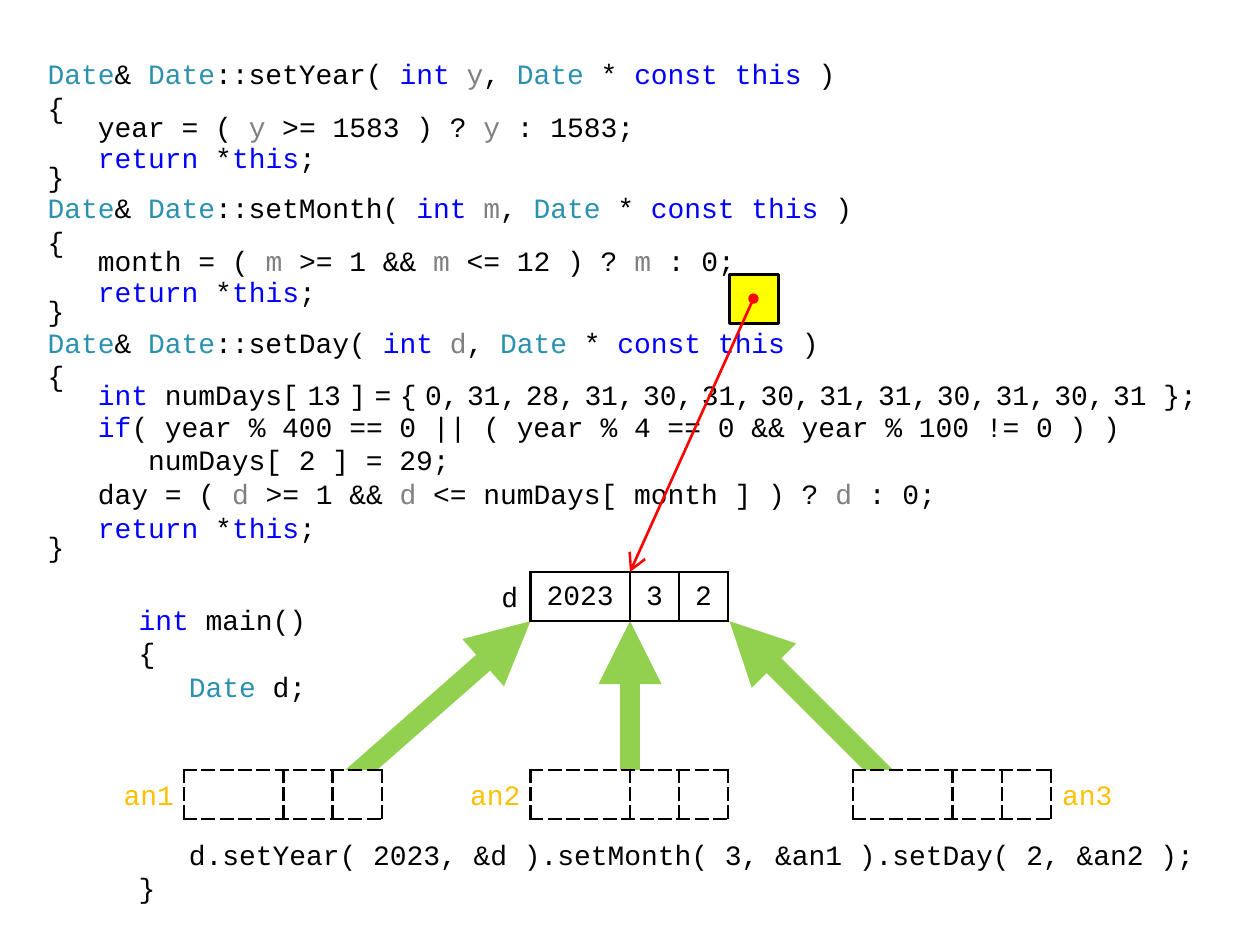
from lxml import etree
from pptx import Presentation
from pptx.dml.color import RGBColor
from pptx.enum.shapes import MSO_CONNECTOR, MSO_SHAPE
from pptx.enum.text import MSO_ANCHOR, PP_ALIGN
from pptx.oxml import parse_xml
from pptx.oxml.ns import nsdecls, qn
from pptx.util import Inches, Pt

LEFT, CENTER, RIGHT = PP_ALIGN.LEFT, PP_ALIGN.CENTER, PP_ALIGN.RIGHT
TOP, MIDDLE = MSO_ANCHOR.TOP, MSO_ANCHOR.MIDDLE
RECT, STRAIGHT = MSO_SHAPE.RECTANGLE, MSO_CONNECTOR.STRAIGHT
FONT, SIZE, NARROW = "Courier New", 16, 8
FULL, HALF = 1.0, 0.5
BLACK, WHITE, YELLOW, RED = "000000", "FFFFFF", "FFFF00", "FF0000"
GREEN, ORANGE = "92D050", "FFC000"
SYNTAX = {"t": "2B91AF", "k": "0000FF", "v": "808080", "s": BLACK}

CELL = 0.39
COLS = [0.79, CELL, CELL]
OBJECT_X, OBJECT_Y, TEMP_Y = 4.21, 4.54, 6.11

DAYS = "0, 31, 28, 31, 30, 31, 30, 31, 31, 30, 31, 30,".split()
NUM_DAYS = "`s `".join(["   `kint `numDays[", "13", "]", "=", "{", *DAYS, "31 };"])
RETURN = ("   `kreturn` *`kthis`;", FULL)
CLOSE = ("}", HALF)


def setter(name, arg, body):
    """Return the (code, line spacing) pairs of one member function."""
    head = f"`tDate`& `tDate`::{name}( `kint ``v{arg}`, `tDate` * `kconst this` )"
    return [(head, FULL), ("{", FULL), *body, RETURN, CLOSE]


SETTERS = [
    *setter("setYear", "y", [("   year = ( `vy` >= 1583 ) ? `vy` : 1583;", HALF)]),
    *setter("setMonth", "m", [
        ("   month = ( `vm` >= 1 && `vm` <= 12 ) ? `vm` : 0;", HALF)]),
    *setter("setDay", "d", [
        (NUM_DAYS, HALF),
        ("   `kif`( year % 400 == 0 || ( year % 4 == 0 && year % 100 != 0 ) )", FULL),
        ("      numDays[ 2 ] = 29;", FULL),
        ("   day = ( `vd` >= 1 && `vd` <= numDays[ month ] ) ? `vd` : 0;", FULL),
    ]),
]
MAIN = [(code, FULL) for code in (
    "`kint` main()", "{", "   `tDate` d;", "", "", "", "",
    "   d.setYear( 2023, &d ).setMonth( 3, &an1 ).setDay( 2, &an2 );", "}")]

TEMPS = [("an1", 1.46, 0.87, RIGHT), ("an2", 4.21, 3.62, RIGHT), ("an3", 6.77, 8.35, LEFT)]
RETURNS = [(2.64, 4.21), (5, 5), (7.17, 5.79)]


def rgb(value):
    """Turn a hex string into a colour."""
    return RGBColor.from_string(value)


def fill(target, color):
    """Give a shape or cell a solid fill."""
    target.fill.solid()
    target.fill.fore_color.rgb = rgb(color)


def add_run(p, text, color=BLACK, size=SIZE):
    """Append one formatted run to a paragraph."""
    r = p.add_run()
    r.text = text
    for key, value in {"name": FONT, "size": Pt(size)}.items():
        setattr(r.font, key, value)
    r.font.color.rgb = rgb(color)


def mark_empty(p):
    """Give an empty paragraph the font and size of the code."""
    end = etree.SubElement(p._p, qn("a:endParaRPr"), sz=str(SIZE * 100))
    etree.SubElement(end, qn("a:latin"), typeface=FONT)


def frame(tf, anchor, left, right):
    """Set the anchor, wrapping and insets of a text frame."""
    formats = {"word_wrap": True, "vertical_anchor": anchor,
               "margin_left": Inches(left), "margin_top": Inches(0.05),
               "margin_right": Inches(right), "margin_bottom": Inches(0.05)}
    for key, value in formats.items():
        setattr(tf, key, value)


def add_code(s, box, left_inset, lines):
    """Add a text box of highlighted code lines."""
    tf = s.shapes.add_textbox(*map(Inches, box)).text_frame
    frame(tf, TOP, left_inset, 0.1)
    for i, (code, spacing) in enumerate(lines):
        p = tf.add_paragraph() if i else tf.paragraphs[0]
        p.line_spacing = spacing
        if not code:
            mark_empty(p)
        for j, part in enumerate(code.split("`")):
            if part and j % 2:
                add_run(p, part[1:], SYNTAX[part[0]], NARROW if part[0] == "s" else SIZE)
            elif part:
                add_run(p, part)


def add_label(s, x, y, width, text, color, align, inset=0.08):
    """Add a one-line label beside an object."""
    sp = s.shapes.add_textbox(*map(Inches, (x, y, width, CELL)))
    frame(sp.text_frame, MIDDLE, inset, inset)
    p = sp.text_frame.paragraphs[0]
    p.alignment = align
    add_run(p, text, color)
    return sp


def add_object(s, x, y, values, dash):
    """Add a one-row table that shows the members of an object."""
    box = map(Inches, (x, y, sum(COLS), CELL))
    table = s.shapes.add_table(1, len(COLS), *box).table
    table.first_row = table.horz_banding = False
    table.rows[0].height = Inches(CELL)
    for i, (width, value) in enumerate(zip(COLS, values)):
        table.columns[i].width = Inches(width)
        cell = table.cell(0, i)
        fill(cell, WHITE)
        cell.vertical_anchor = MIDDLE
        cell.margin_top, cell.margin_bottom = Inches(0.02), 0
        p = cell.text_frame.paragraphs[0]
        p.alignment = CENTER
        if value:
            add_run(p, value)
        else:
            mark_empty(p)
        for k, side in enumerate("LRTB"):
            cell._tc.get_or_add_tcPr().insert(k, parse_xml(
                f'<a:ln{side} {nsdecls("a")} w="19050"><a:solidFill><a:srgbClr val="{BLACK}"/>'
                f'</a:solidFill><a:prstDash val="{dash}"/></a:ln{side}>'))


def add_arrow(s, points, color, width, **ends):
    """Add a straight arrow with the given line ends."""
    c = s.shapes.add_connector(STRAIGHT, *map(Inches, points))
    c.line.color.rgb = rgb(color)
    c.line.width = Pt(width)
    for end, (kind, size) in ends.items():
        etree.SubElement(c.line._get_or_add_ln(), qn(f"a:{end}"), type=kind, w=size, len=size)
    etree.SubElement(c._element.spPr, qn("a:effectLst"))


def main():
    """Build the slide and save it."""
    prs = Presentation()
    prs.slide_width, prs.slide_height = Inches(10), Inches(7.5)
    s = prs.slides.add_slide(prs.slide_layouts[6])

    for start_x, end_x in RETURNS:
        add_arrow(s, (start_x, 6.31, end_x, OBJECT_Y + CELL), GREEN, 12,
                  tailEnd=("triangle", "med"))
    add_code(s, (1.06, 4.73, 8.66, 2.56), 0.04, MAIN)
    fill(add_label(s, OBJECT_X - CELL, OBJECT_Y, CELL, "d", BLACK, RIGHT, 0.1), WHITE)
    add_code(s, (0.28, 0.4, 9.45, 4.13), 0.1, SETTERS)
    add_object(s, OBJECT_X, OBJECT_Y, ["2023", "3", "2"], "solid")
    for name, x, label_x, align in TEMPS:
        add_object(s, x, TEMP_Y, [""] * len(COLS), "dash")
        add_label(s, label_x, TEMP_Y, 0.59, name, ORANGE, align)

    pointer = s.shapes.add_shape(RECT, *map(Inches, (5.79, 2.18, CELL, CELL)))
    pointer.shadow.inherit = False
    fill(pointer, YELLOW)
    pointer.line.color.rgb = rgb(BLACK)
    pointer.line.width = Pt(1.5)
    add_arrow(s, (5.98, 2.37, 5, OBJECT_Y), RED, 1.5,
              headEnd=("oval", "med"), tailEnd=("arrow", "lg"))
    prs.save("out.pptx")


if __name__ == "__main__":
    main()
